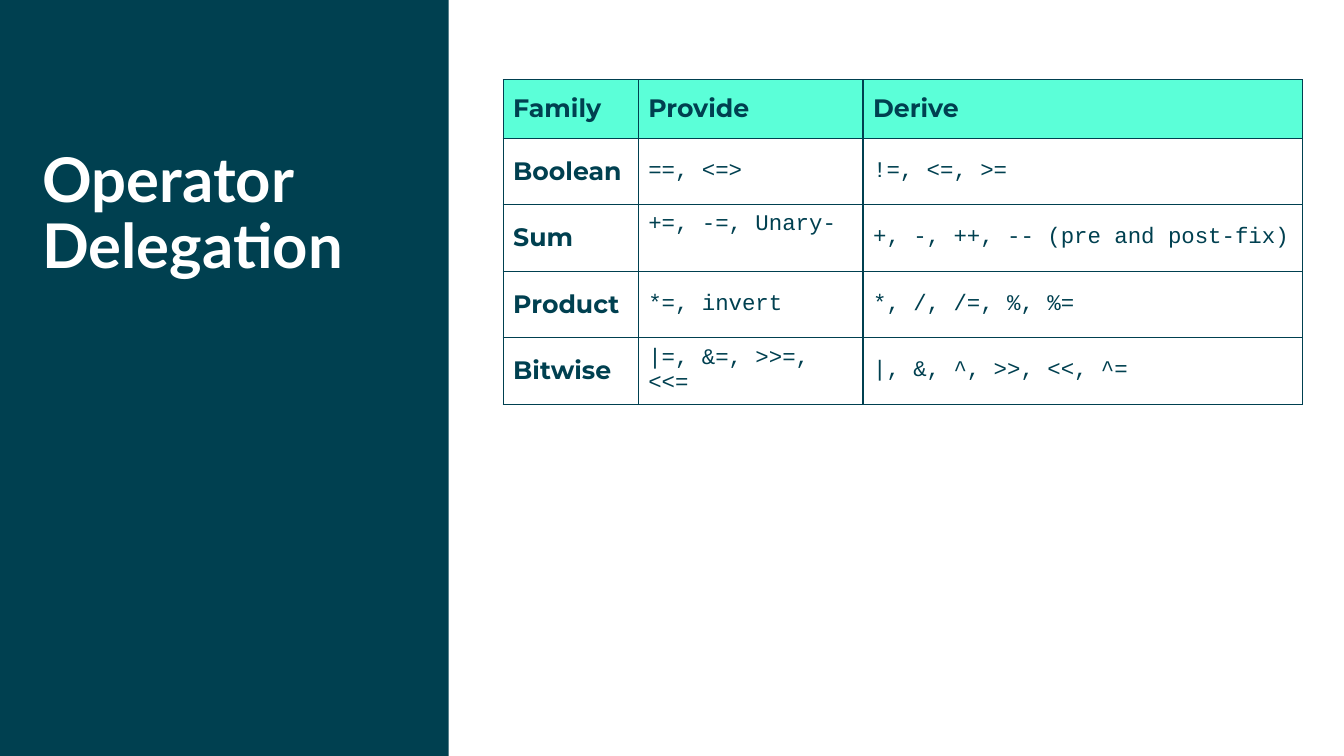
from dataclasses import dataclass

import pptx
import pptx.dml.color
import pptx.enum.shapes
import pptx.enum.text
import pptx.oxml
import pptx.oxml.ns
import pptx.util
from pptx.dml.color import RGBColor
from pptx.util import Inches

TEAL = RGBColor(0x00, 0x40, 0x50)
MINT = RGBColor(0x5B, 0xFF, 0xD8)
WHITE = RGBColor(0xFF, 0xFF, 0xFF)

COLUMN_WIDTHS = (1.34, 2.23, 4.36)
HEADER_HEIGHT = 0.58
ROW_HEIGHT = 0.66
HEADINGS = ("Family", "Provide", "Derive")


@dataclass(frozen=True)
class OperatorFamily:
    name: str
    provide: str
    derive: str
    bottom_margin: float = 0.05


FAMILIES = (
    OperatorFamily("Boolean", "==, <=>", "!=, <=, >="),
    OperatorFamily("Sum", "+=, -=, Unary-", "+, -, ++, -- (pre and post-fix)", bottom_margin=0.31),
    OperatorFamily("Product", "*=, invert", "*, /, /=, %, %="),
    OperatorFamily("Bitwise", "|=, &=, >>=, <<=", "|, &, ^, >>, <<, ^="),
)


def write_text(text_frame, text: str, *, font: str, size: float, color: RGBColor,
               bold: bool = False, line_spacing: float = 1.0) -> None:
    paragraph = text_frame.paragraphs[0]
    paragraph.alignment = pptx.enum.text.PP_ALIGN.LEFT
    paragraph.line_spacing = line_spacing
    run = paragraph.add_run()
    run.text = text
    run.font.name = font
    run.font.size = pptx.util.Pt(size)
    run.font.bold = bold
    run.font.color.rgb = color


def add_borders(cell, color: RGBColor, width: float) -> None:
    properties = cell._tc.get_or_add_tcPr()
    for side in ("lnL", "lnR", "lnT", "lnB"):
        properties.append(pptx.oxml.parse_xml(
            f'<a:{side} {pptx.oxml.ns.nsdecls("a")} w="{pptx.util.Pt(width)}">'
            f'<a:solidFill><a:srgbClr val="{color}"/></a:solidFill></a:{side}>'))


def add_side_panel(slide) -> None:
    panel = slide.shapes.add_shape(
        pptx.enum.shapes.MSO_SHAPE.RECTANGLE, 0, 0, Inches(4.45), Inches(7.5))
    panel.shadow.inherit = False
    panel.fill.solid()
    panel.fill.fore_color.rgb = TEAL
    panel.line.fill.background()
    # Keep the panel behind the title
    slide.shapes._spTree.insert(2, panel._element)


def add_title(slide) -> None:
    title = slide.shapes.title
    title.left, title.top = Inches(0.42), Inches(1.48)
    title.width, title.height = Inches(3.77), Inches(3.01)
    frame = title.text_frame
    frame.margin_left = frame.margin_right = frame.margin_top = frame.margin_bottom = 0
    frame.word_wrap = True
    frame.auto_size = pptx.enum.text.MSO_AUTO_SIZE.NONE
    frame.vertical_anchor = pptx.enum.text.MSO_ANCHOR.TOP
    write_text(frame, "Operator Delegation", font="Lato", size=44, color=WHITE,
               bold=True, line_spacing=0.9)


def fill_cell(cell, text: str, *, heading: bool, label: bool) -> None:
    cell.vertical_anchor = pptx.enum.text.MSO_ANCHOR.MIDDLE
    add_borders(cell, TEAL, 1)
    if heading:
        cell.fill.solid()
        cell.fill.fore_color.rgb = MINT
    else:
        cell.fill.background()
    if heading or label:
        write_text(cell.text_frame, text, font="Montserrat", size=18, color=TEAL, bold=True)
    else:
        write_text(cell.text_frame, text, font="Courier New", size=16, color=TEAL)


def add_operator_table(slide) -> None:
    height = HEADER_HEIGHT + ROW_HEIGHT * len(FAMILIES)
    table = slide.shapes.add_table(
        len(FAMILIES) + 1, len(HEADINGS), Inches(4.99), Inches(0.79),
        Inches(sum(COLUMN_WIDTHS)), Inches(height)).table
    table.horz_banding = False
    for column, width in zip(table.columns, COLUMN_WIDTHS):
        column.width = Inches(width)

    contents = [HEADINGS] + [(family.name, family.provide, family.derive) for family in FAMILIES]
    for row_index, texts in enumerate(contents):
        heading = row_index == 0
        table.rows[row_index].height = Inches(HEADER_HEIGHT if heading else ROW_HEIGHT)
        for column_index, text in enumerate(texts):
            fill_cell(table.cell(row_index, column_index), text,
                      heading=heading, label=column_index == 0)

    # Raised text in the Provide column
    for row_index, family in enumerate(FAMILIES, start=1):
        table.cell(row_index, 1).margin_bottom = Inches(family.bottom_margin)


def main() -> None:
    presentation = pptx.Presentation()
    presentation.slide_width = Inches(13.33)
    presentation.slide_height = Inches(7.5)
    slide = presentation.slides.add_slide(presentation.slide_layouts.get_by_name("Title Only"))
    slide.background.fill.solid()
    slide.background.fill.fore_color.rgb = WHITE
    add_side_panel(slide)
    add_title(slide)
    add_operator_table(slide)
    presentation.save("out.pptx")


if __name__ == "__main__":
    main()
